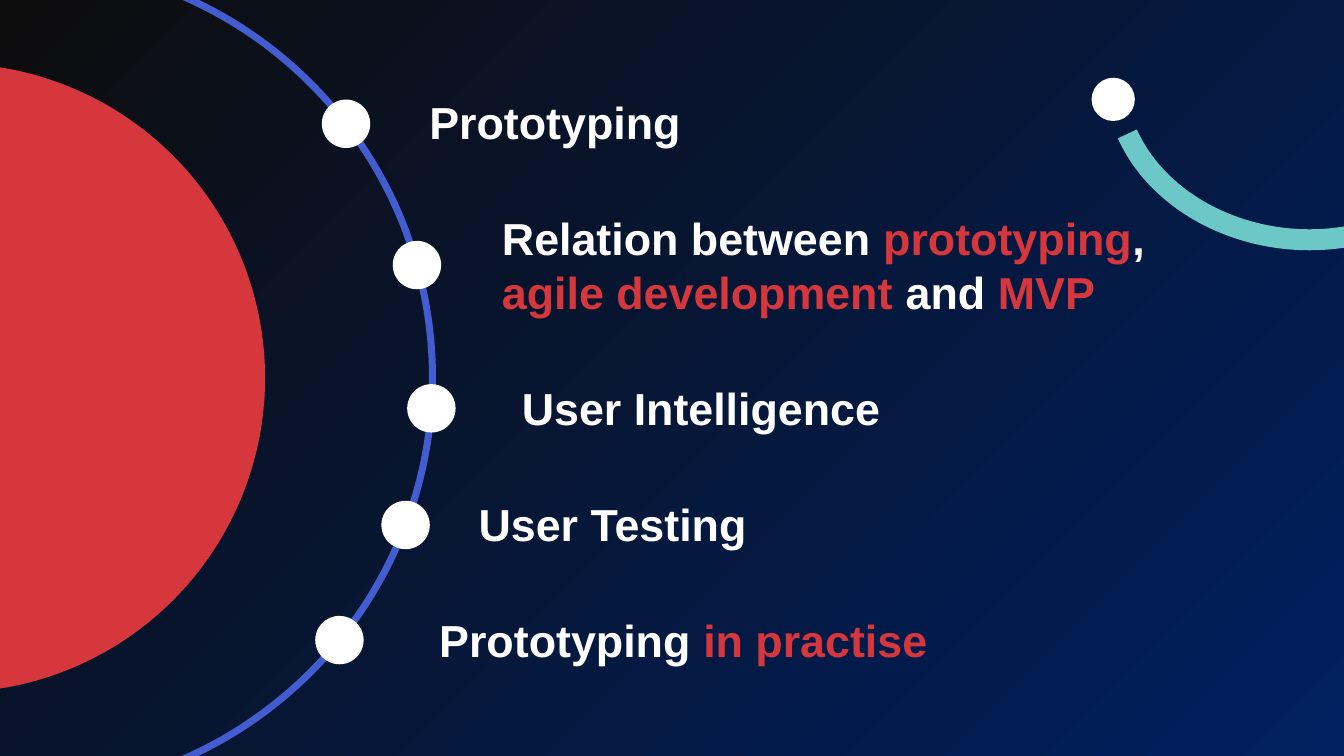
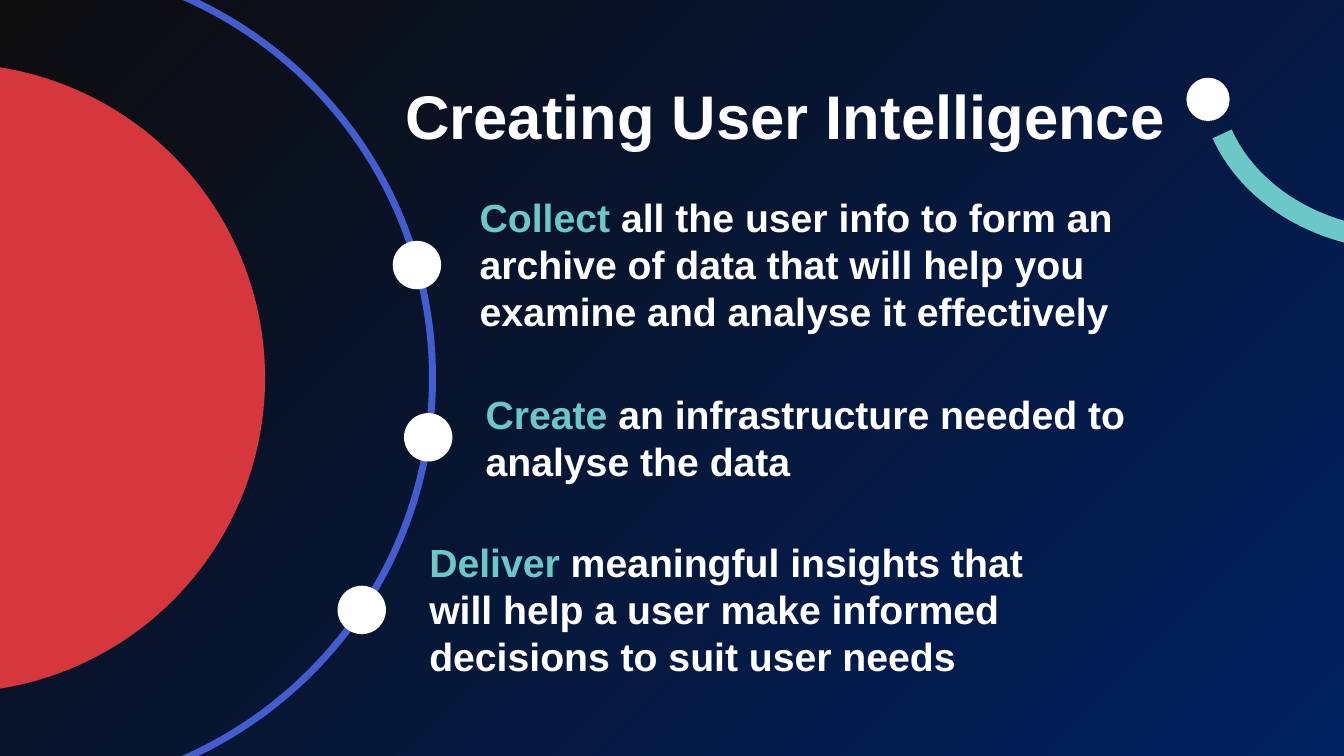
from collections import namedtuple
from math import sqrt

from pptx import Presentation
from pptx.dml.color import RGBColor
from pptx.enum import shapes, text
from pptx.util import Cm, Pt

BLACK = RGBColor(0x0D, 0x0D, 0x0D)
NAVY = RGBColor(0x00, 0x20, 0x60)
WHITE = RGBColor(0xFF, 0xFF, 0xFF)
RED = RGBColor(0xD6, 0x37, 0x3D)
BLUE = RGBColor(0x43, 0x5D, 0xD0)
TEAL = RGBColor(0x6C, 0xC8, 0xC6)
FONT = "Arial"

TITLE_ONLY, BLANK = 5, 6
DOT = 1.22

# All lengths are centimetres.
Box = namedtuple("Box", "left top width height")
# A topic is a dot at the height dot_y on the ring, with its text beside it.
Topic = namedtuple("Topic", "dot_y box spans")

RING = Box(-10.08, -0.97, 20.98, 20.98)

AGENDA = [
    Topic(3.12, Box(10.57, 2.26, 8.86, 1.63), [("Prototyping", WHITE)]),
    Topic(6.68, Box(12.4, 5.18, 17.22, 3), [
        ("Relation between ", WHITE), ("prototyping", RED), (", ", WHITE),
        ("agile development ", RED), ("and ", WHITE), ("MVP", RED)]),
    Topic(10.29, Box(12.9, 9.47, 17.22, 1.63), [("User Intelligence", WHITE)]),
    Topic(13.23, Box(11.81, 12.4, 17.22, 1.63), [("User Testing", WHITE)]),
    Topic(16.13, Box(10.82, 15.32, 17.22, 1.63), [
        ("Prototyping ", WHITE), ("in practise", RED)]),
]

STEPS = [
    Topic(6.68, Box(11.84, 4.75, 18.75, 3.84), [
        ("Collect", TEAL),
        (" all the user info to form an archive of data that will help you "
         "examine and analyse it effectively", WHITE)]),
    Topic(11.02, Box(11.99, 9.7, 17.22, 2.64), [
        ("Create", TEAL),
        (" an infrastructure needed to analyse the data", WHITE)]),
    Topic(15.37, Box(10.57, 13.44, 17.22, 3.84), [
        ("Deliver", TEAL),
        (" meaningful insights that will help a user make informed "
         "decisions to suit user needs", WHITE)]),
]


def add_outline(page, kind, box, *, fill=None, line=None, width=0):
    """Add a preset shape without shadow; a missing colour means none."""
    shape = page.shapes.add_shape(kind, *map(Cm, box))
    shape.shadow.inherit = False
    if fill is None:
        shape.fill.background()
    else:
        shape.fill.solid()
        shape.fill.fore_color.rgb = fill
    if line is None:
        shape.line.fill.background()
    else:
        shape.line.color.rgb = line
        shape.line.width = Pt(width)
    return shape


def add_circle(page, box, **look):
    return add_outline(page, shapes.MSO_SHAPE.OVAL, box, **look)


def add_span(para, words, *, size, color=WHITE, bold=True):
    span = para.add_run()
    span.text = words
    span.font.name = FONT
    span.font.size = Pt(size)
    span.font.bold = bold
    span.font.color.rgb = color


def add_planet(page, ring):
    """Add the red disc and the ring around it."""
    disc = 15.85
    add_circle(page, Box(ring.left + 0.91, ring.top + 2.57, disc, disc), fill=RED)
    add_circle(page, ring, line=BLUE, width=5)


def add_comet(page, left, top):
    """Add the white dot at the given corner and its teal tail."""
    tail = add_outline(page, shapes.MSO_SHAPE.ARC,
                       Box(left + 1.42, top - 4.6, 7.85, 9.5),
                       line=TEAL, width=15)
    # Adjustments count angles in units of 5/3 degree.
    tail.adjustments[0] = 65.44
    tail.adjustments[1] = 149.72
    tail.rotation = 274.6
    add_circle(page, Box(left, top, 1.09, 1.09), fill=WHITE)


def add_topic(page, ring, topic, *, size):
    radius = ring.width / 2
    rise = topic.dot_y - (ring.top + radius)
    dot_x = ring.left + radius + sqrt(radius ** 2 - rise ** 2)
    add_circle(page, Box(dot_x - DOT / 2, topic.dot_y - DOT / 2, DOT, DOT),
               fill=WHITE)
    frame = page.shapes.add_textbox(*map(Cm, topic.box)).text_frame
    frame.word_wrap = True
    frame.auto_size = text.MSO_AUTO_SIZE.SHAPE_TO_FIT_TEXT
    for words, color in topic.spans:
        add_span(frame.paragraphs[0], words, size=size, color=color)


def set_title(page, box, words):
    title = page.shapes.title
    title.left, title.top, title.width, title.height = map(Cm, box)
    frame = title.text_frame
    frame.word_wrap = True
    frame.auto_size = text.MSO_AUTO_SIZE.NONE
    frame.vertical_anchor = text.MSO_ANCHOR.TOP
    para = frame.paragraphs[0]
    para.alignment = text.PP_ALIGN.LEFT
    add_span(para, words, size=44)


def add_page(deck, layout, topics, *, size, comet_left):
    page = deck.slides.add_slide(deck.slide_layouts[layout])
    add_planet(page, RING)
    add_comet(page, comet_left, 1.96)
    for topic in topics:
        add_topic(page, RING, topic, size=size)
    return page


def set_background(deck):
    fill = deck.slide_master.background.fill
    fill.gradient()
    fill.gradient_angle = 315
    for stop, position, color in zip(fill.gradient_stops, (0, 1), (BLACK, NAVY)):
        stop.position = position
        stop.color.rgb = color


def main():
    deck = Presentation()
    deck.slide_width, deck.slide_height = Cm(33.87), Cm(19.05)
    set_background(deck)
    add_page(deck, BLANK, AGENDA, size=32, comet_left=27.51)
    page = add_page(deck, TITLE_ONLY, STEPS, size=28, comet_left=29.9)
    set_title(page, Box(9.96, 1.83, 19.81, 2.13), "Creating User Intelligence")
    deck.save("out.pptx")


if __name__ == "__main__":
    main()
